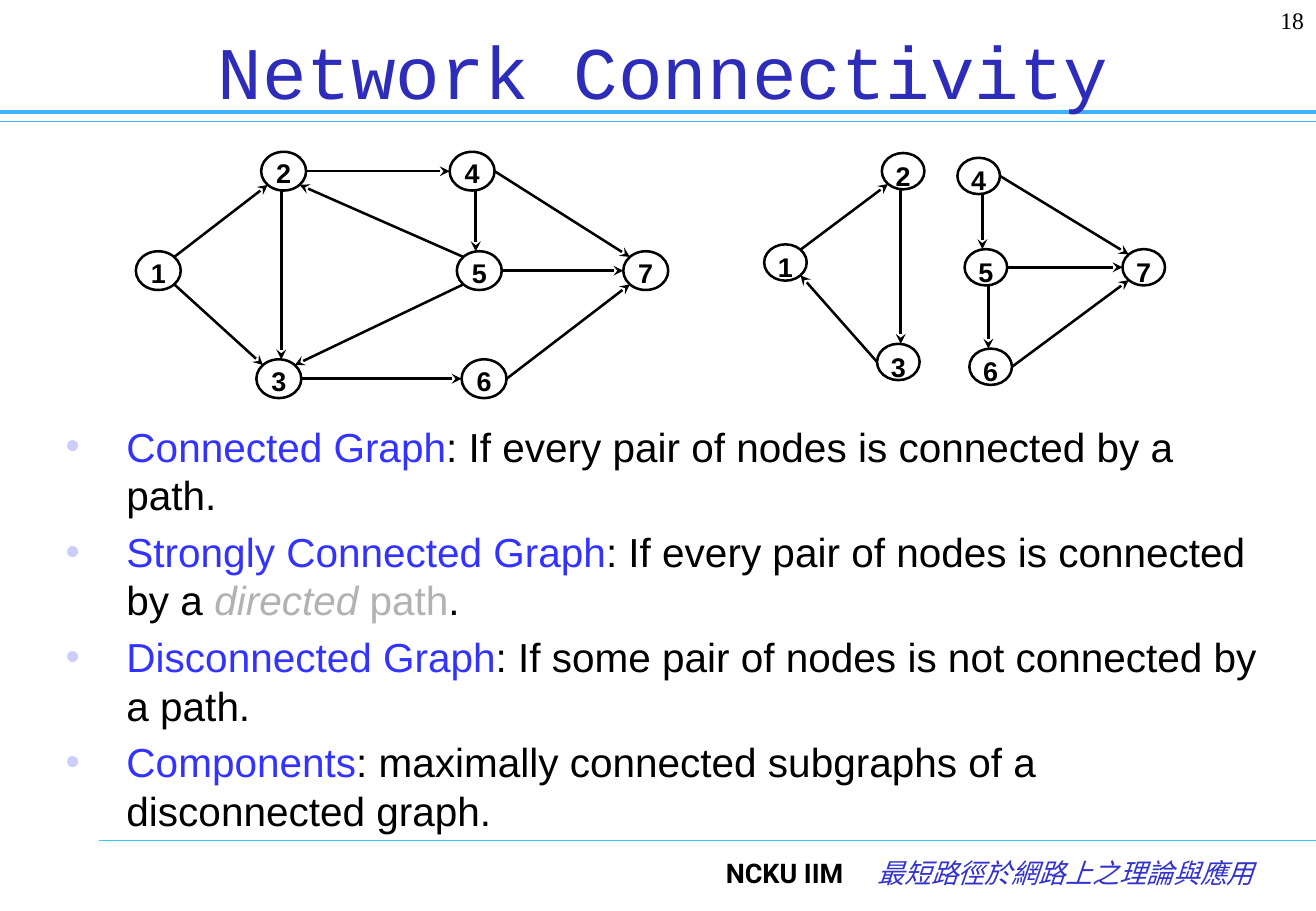
import math

import pptx
import pptx.dml.color
import pptx.enum.shapes
import pptx.enum.text
import pptx.util
from lxml import etree
from pptx.oxml.ns import qn
from pptx.util import Cm, Pt

COLORS = {
    "title": "2D2DB9", "term": "3333FF", "text": "000000", "muted": "B2B2B2",
    "bullet": "CCCCFF", "footer": "3333CC", "node": "FFFFFF",
    "header line": "3DB0FF", "footer line": "33CCFF",
}
SLIDE_WIDTH, SLIDE_HEIGHT = 27.51, 19.05  # all lengths in centimetres
TITLE = "Network Connectivity"

# Each definition is a list of runs: text, colour, italic
DEFINITIONS = [
    [("Connected Graph", "term", False),
     (": If every pair of nodes is connected by a path.", "text", False)],
    [("Strongly Connected Graph", "term", False),
     (": If every pair of nodes is connected by a ", "text", False),
     ("directed", "muted", True), (" path", "muted", False), (".", "text", False)],
    [("Disconnected Graph", "term", False),
     (": If some pair of nodes is not connected by a path.", "text", False)],
    [("Components", "term", False),
     (": maximally connected subgraphs of a disconnected graph.", "text", False)],
]

# Nodes by centre; edges as node, side, node, side (compass directions).
# Drop is the top inset that lowers the labels inside the nodes.
GRAPHS = [
    {"size": (0.94, 0.81), "drop": 0.08,
     "nodes": {"1": (3.31, 5.66), "2": (5.93, 3.58), "3": (5.83, 7.92),
               "4": (9.87, 3.58), "5": (10.02, 5.66), "6": (10.12, 7.92),
               "7": (13.5, 5.66)},
     "edges": ["1 NE 2 SW", "1 SE 3 NW", "2 S 3 N", "2 E 4 W", "3 E 6 W", "6 E 7 SW",
               "5 E 7 W", "4 E 7 NW", "4 S 5 N", "5 NW 2 SE", "5 SW 3 NE"]},
    {"size": (0.89, 0.76), "drop": 0.18,
     "nodes": {"1": (16.42, 5.49), "2": (18.88, 3.58), "3": (18.78, 7.57),
               "4": (20.46, 3.68), "5": (20.61, 5.59), "6": (20.71, 7.67),
               "7": (23.91, 5.59)},
     "edges": ["1 NE 2 SW", "2 S 3 N", "3 W 1 SE", "6 E 7 SW", "5 E 7 W",
               "4 E 7 NW", "4 S 5 N", "5 S 6 N"]},
]
SIDES = ["E", "SE", "S", "SW", "W", "NW", "N", "NE"]  # 45 degrees apart

# Rules behind the text: start, end, colour, width in points
RULES = [
    ((0, 2.54), (SLIDE_WIDTH, 2.54), "header line", 0.75),
    ((0, 2.34), (SLIDE_WIDTH, 2.34), "header line", 2.5),
    ((2.06, 17.58), (SLIDE_WIDTH, 17.58), "footer line", 0.75),
]

# Small texts: words, place, size, font, colour, bold, italic
MARGINALS = [
    ("NCKU IIM", (12, 17.78, 5.88, 1.27), 16, "Roboto", "text", True, False),
    ("最短路徑於網路上之理論與應用", (17.5, 17.78, 8.97, 1.27), 16, "Courier New",
     "footer", False, True),
    ("18", (25.22, 0, 2.29, 1.27), 14, "Times New Roman", "text", False, False),
]


def rgb(name):
    return pptx.dml.color.RGBColor.from_string(COLORS[name])


def place(shape, left, top, width, height):
    shape.left, shape.top = Cm(left), Cm(top)
    shape.width, shape.height = Cm(width), Cm(height)


def add_span(para, text, size, font, color, bold=False, italic=False):
    span = para.add_run()
    span.text = text
    span.font.size, span.font.name = Pt(size), font
    span.font.bold, span.font.italic = bold, italic
    span.font.color.rgb = rgb(color)


def add_line(page, start, end, color, width, arrow=False):
    line = page.shapes.add_connector(
        pptx.enum.shapes.MSO_CONNECTOR.STRAIGHT, *(Cm(value) for value in (*start, *end)))
    line.line.color.rgb = rgb(color)
    line.line.width = Pt(width)
    if arrow:
        etree.SubElement(line.line._get_or_add_ln(), qn("a:tailEnd"), type="stealth")
    etree.SubElement(line.element.spPr, qn("a:effectLst"))
    return line


def add_node(page, label, center, graph):
    width, height = graph["size"]
    node = page.shapes.add_shape(
        pptx.enum.shapes.MSO_SHAPE.OVAL, Cm(center[0] - width / 2),
        Cm(center[1] - height / 2), Cm(width), Cm(height))
    node.shadow.inherit = False
    node.fill.solid()
    node.fill.fore_color.rgb = rgb("node")
    node.line.color.rgb = rgb("text")
    node.line.width = Pt(1.5)
    frame = node.text_frame
    frame.word_wrap = False
    frame.margin_left = frame.margin_right = frame.margin_bottom = 0
    frame.margin_top = Cm(graph["drop"])
    frame.vertical_anchor = pptx.enum.text.MSO_ANCHOR.MIDDLE
    para = frame.paragraphs[0]
    para.alignment = pptx.enum.text.PP_ALIGN.CENTER
    add_span(para, label, 16, "Arial", "text", bold=True)


def rim_point(graph, label, side):
    """Point on the outline of a node in the given compass direction."""
    angle = math.radians(45 * SIDES.index(side))
    (x, y), (width, height) = graph["nodes"][label], graph["size"]
    return x + width / 2 * math.cos(angle), y + height / 2 * math.sin(angle)


def add_edge(page, graph, edge):
    tail, tail_side, head, head_side = edge.split()
    start = rim_point(graph, tail, tail_side)
    end = rim_point(graph, head, head_side)
    if (tail_side, head_side) == ("S", "N"):  # keep downward arrows upright
        middle = (start[0] + end[0]) / 2
        start, end = (middle, start[1]), (middle, end[1])
    add_line(page, start, end, "text", 1.5, arrow=True)


def add_definition(para, spans, first):
    properties = para._p.get_or_add_pPr()
    properties.set("marL", str(Cm(1.27)))
    properties.set("indent", str(Cm(-1.27)))
    bullet_color = etree.SubElement(properties, qn("a:buClr"))
    etree.SubElement(bullet_color, qn("a:srgbClr"), val=COLORS["bullet"])
    etree.SubElement(properties, qn("a:buChar"), char="•")
    para.line_spacing = Pt(28.8)
    para.space_before = Pt(0 if first else 4.8)
    for text, color, italic in spans:
        add_span(para, text, 24, "Arial", color, italic=italic)


def main():
    deck = pptx.Presentation()
    deck.slide_width, deck.slide_height = Cm(SLIDE_WIDTH), Cm(SLIDE_HEIGHT)
    page = deck.slides.add_slide(deck.slide_layouts[1])
    title, body = page.placeholders

    for rule in RULES:
        line = add_line(page, *rule)
        page.shapes.element.insert(2, line.element)  # behind the title

    place(title, 2.54, 0.58, 22.66, 1.75)
    place(body, 1.12, 8.69, 25.65, 7.92)
    for box in (title, body):
        box.text_frame.auto_size = pptx.enum.text.MSO_AUTO_SIZE.NONE
    para = title.text_frame.paragraphs[0]
    para.alignment = pptx.enum.text.PP_ALIGN.CENTER
    add_span(para, TITLE, 44, "Courier New", "title")

    for index, spans in enumerate(DEFINITIONS):
        frame = body.text_frame
        para = frame.add_paragraph() if index else frame.paragraphs[0]
        add_definition(para, spans, first=index == 0)

    for graph in GRAPHS:
        for label, center in graph["nodes"].items():
            add_node(page, label, center, graph)
        for edge in graph["edges"]:
            add_edge(page, graph, edge)

    for text, area, *style in MARGINALS:
        box = page.shapes.add_textbox(*(Cm(value) for value in area))
        box.text_frame.word_wrap = True
        para = box.text_frame.paragraphs[0]
        para.alignment = pptx.enum.text.PP_ALIGN.RIGHT
        add_span(para, text, *style)

    deck.save("out.pptx")


if __name__ == "__main__":
    main()
